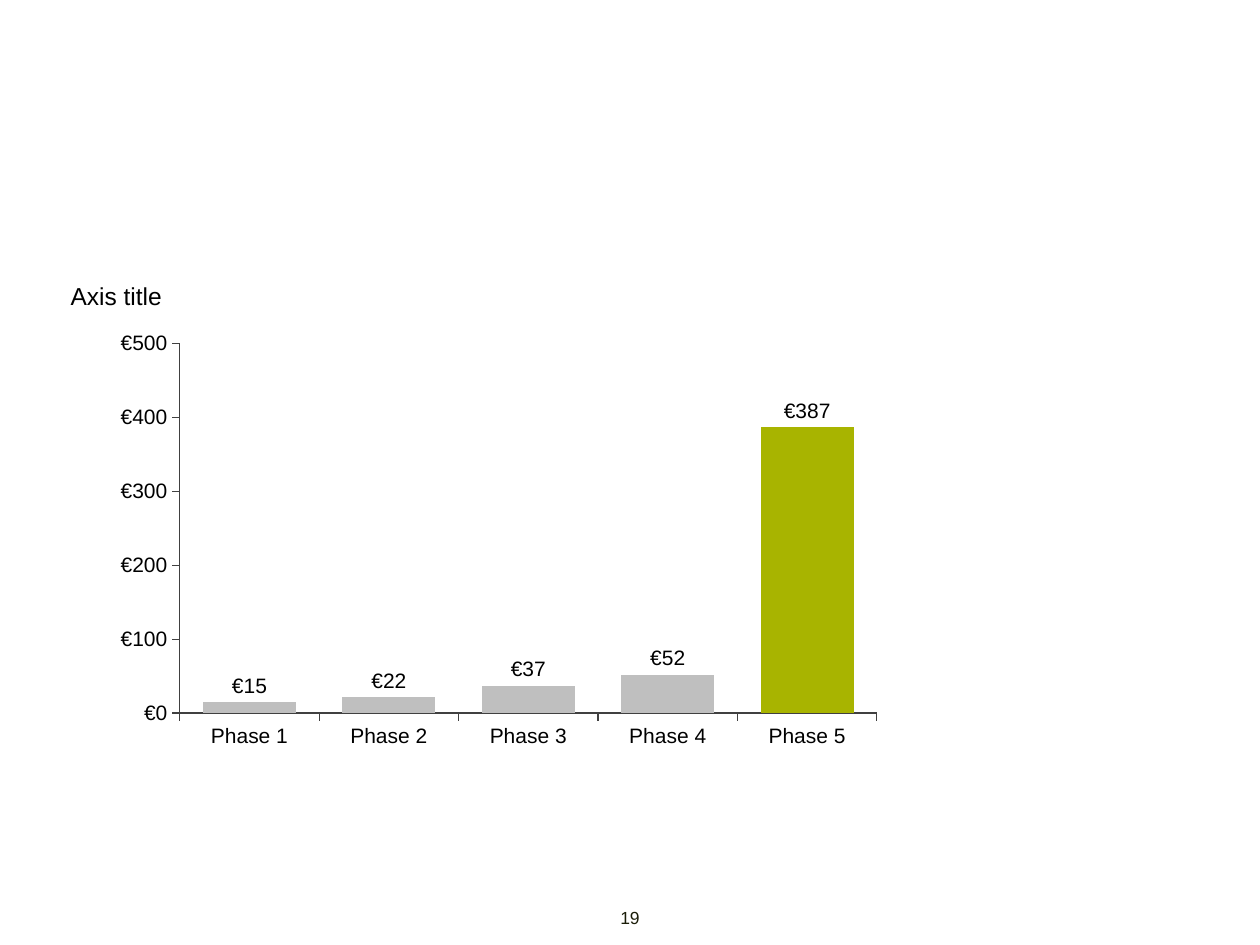
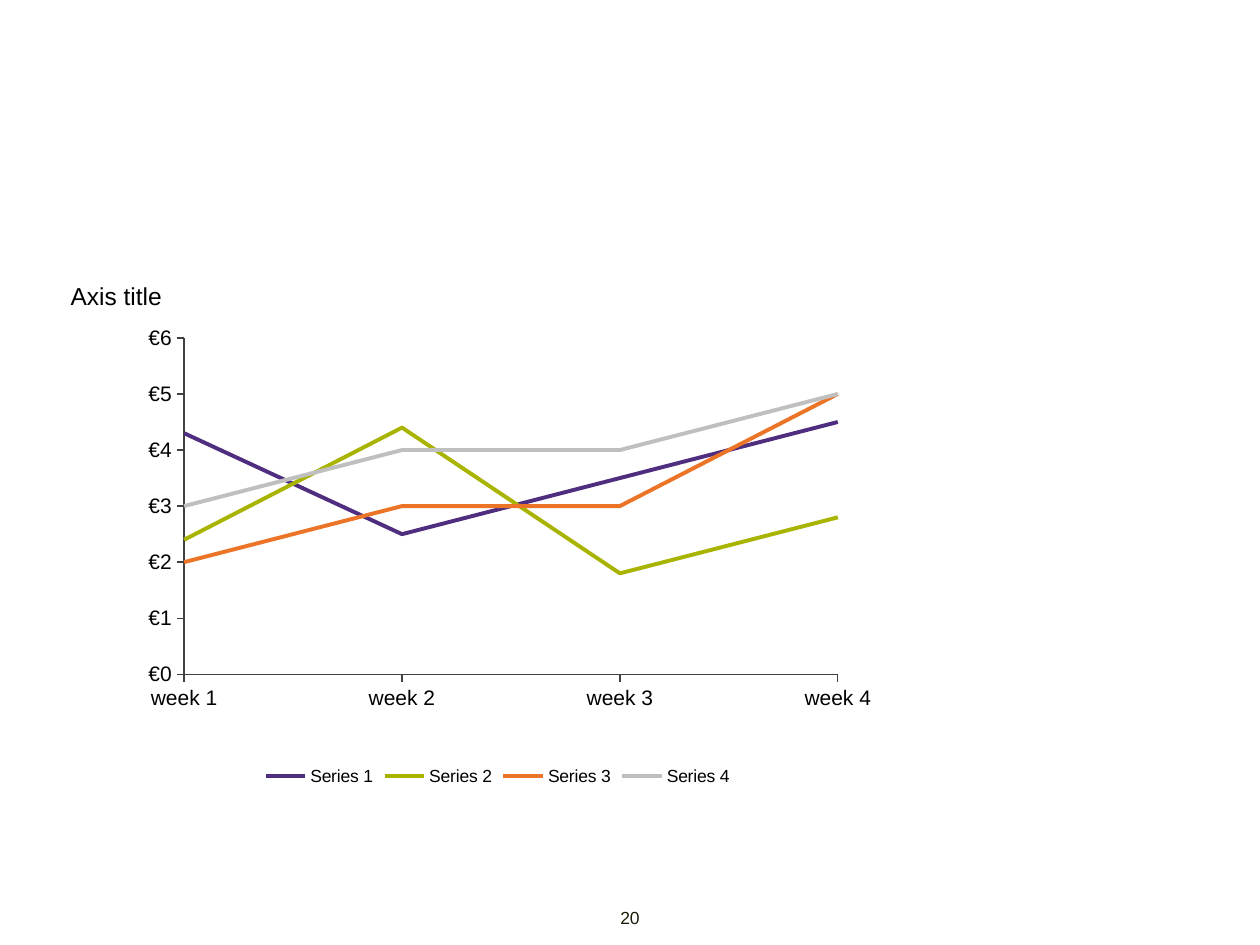
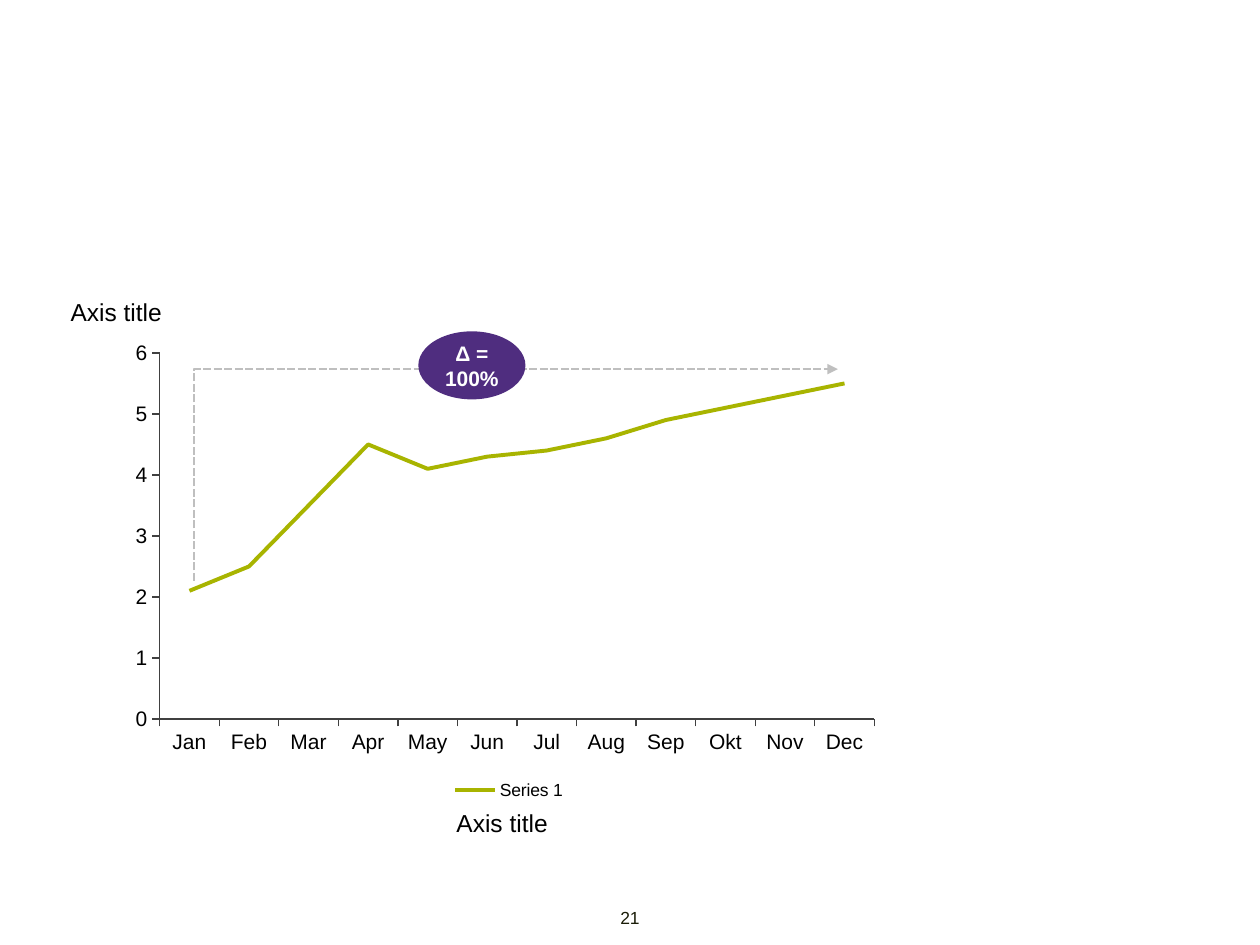
from dataclasses import dataclass

from lxml import etree
from pptx import Presentation
from pptx.chart.data import CategoryChartData
from pptx.dml.color import RGBColor
from pptx.enum.chart import XL_CHART_TYPE, XL_LABEL_POSITION, XL_LEGEND_POSITION, XL_TICK_MARK
from pptx.enum.dml import MSO_LINE
from pptx.enum.shapes import MSO_SHAPE
from pptx.enum.text import MSO_ANCHOR, MSO_AUTO_SIZE, PP_ALIGN
from pptx.oxml.ns import qn
from pptx.util import Inches, Pt

COLUMNS, LINES = XL_CHART_TYPE.COLUMN_CLUSTERED, XL_CHART_TYPE.LINE
TICK_OUT, TICK_NONE = XL_TICK_MARK.OUTSIDE, XL_TICK_MARK.NONE
LEFT, CENTER = PP_ALIGN.LEFT, PP_ALIGN.CENTER
TOP, MIDDLE, BOTTOM = MSO_ANCHOR.TOP, MSO_ANCHOR.MIDDLE, MSO_ANCHOR.BOTTOM

# Shared style
FONT = "Arial"
BLACK, WHITE, PAGE_INK, AXIS_GRAY = "000000", "FFFFFF", "1B1D08", "404040"
PURPLE, GREEN, ORANGE, SILVER = "4F2D7F", "A8B400", "EB7426", "BFBFBF"
EURO = '"€"#,##0'
FIRST_PAGE = 19

Box = tuple[float, float, float, float]


@dataclass(frozen=True)
class Series:
    name: str
    values: tuple[float, ...]
    color: str


@dataclass(frozen=True)
class ChartSpec:
    kind: int
    box: Box
    plot: Box  # inner plot area, as fractions of the chart
    categories: tuple[str, ...]
    series: tuple[Series, ...]
    value_format: str = "General"
    major_unit: float | None = None
    starts_on_axis: bool = False


@dataclass(frozen=True)
class Page:
    axis_title_top: float
    chart: ChartSpec


def rgb(color: str) -> RGBColor:
    return RGBColor.from_string(color)


def inches(box: Box) -> list:
    return [Inches(length) for length in box]


def write(frame, text: str, *, size: float = 14, color: str = BLACK, bold: bool = False,
          align=LEFT, anchor=BOTTOM, grow: bool = True) -> None:
    """Fill a text frame with one formatted paragraph and no margins."""
    frame.margin_left = frame.margin_right = frame.margin_top = frame.margin_bottom = 0
    frame.word_wrap = True
    frame.vertical_anchor = anchor
    frame.auto_size = MSO_AUTO_SIZE.SHAPE_TO_FIT_TEXT if grow else MSO_AUTO_SIZE.NONE
    paragraph = frame.paragraphs[0]
    paragraph.alignment = align
    run = paragraph.add_run()
    run.text = text
    run.font.name, run.font.size, run.font.bold = FONT, Pt(size), bold
    run.font.color.rgb = rgb(color)


def add_label(slide, box: Box, text: str, **text_format) -> None:
    write(slide.shapes.add_textbox(*inches(box)).text_frame, text, **text_format)


def set_stroke(line, color: str, width: float) -> None:
    line.color.rgb = rgb(color)
    line.width = Pt(width)


def style_axis(axis) -> None:
    axis.has_major_gridlines = False
    axis.major_tick_mark, axis.minor_tick_mark = TICK_OUT, TICK_NONE
    set_stroke(axis.format.line, AXIS_GRAY, 0.75)


def place_plot(chart, plot: Box) -> None:
    """Fix the inner plot area, which python-pptx leaves automatic."""
    area = chart.plots[0]._element.getparent()
    for automatic in area.findall(qn("c:layout")):
        area.remove(automatic)
    layout = etree.Element(qn("c:layout"))
    manual = etree.SubElement(layout, qn("c:manualLayout"))
    settings = [("layoutTarget", "inner"), ("xMode", "edge"), ("yMode", "edge"),
                *zip("xywh", plot)]
    for tag, value in settings:
        etree.SubElement(manual, qn(f"c:{tag}")).set("val", str(value))
    area.insert(0, layout)


def set_crossing(value_axis, on_tick: bool) -> None:
    """Start the categories on the value axis, or half a step from it."""
    element = value_axis._element
    for present in element.findall(qn("c:crossBetween")):
        element.remove(present)
    crossing = etree.Element(qn("c:crossBetween"))
    crossing.set("val", "midCat" if on_tick else "between")
    element.find(qn("c:crosses")).addnext(crossing)


def style_columns(plot) -> None:
    """Show values above the columns and highlight the last one."""
    plot.gap_width = 50
    columns = plot.series[0]
    last = columns.points[len(columns.values) - 1].format.fill
    last.solid()
    last.fore_color.rgb = rgb(GREEN)
    labels = columns.data_labels
    labels.show_value = True
    labels.number_format, labels.number_format_is_linked = EURO, False
    labels.position = XL_LABEL_POSITION.OUTSIDE_END


def add_legend(chart) -> None:
    chart.has_legend = True
    chart.legend.position = XL_LEGEND_POSITION.BOTTOM
    chart.legend.include_in_layout = False
    chart.legend.font.size = Pt(10)
    chart.legend.font.name = FONT
    chart.legend.font.color.rgb = rgb(BLACK)


def add_chart(slide, spec: ChartSpec) -> None:
    data = CategoryChartData()
    data.categories = spec.categories
    for entry in spec.series:
        data.add_series(entry.name, entry.values)
    chart = slide.shapes.add_chart(spec.kind, *inches(spec.box), data).chart
    chart.has_title = chart.has_legend = False
    chart.font.name, chart.font.size = FONT, Pt(12)
    chart.font.color.rgb = rgb(BLACK)
    place_plot(chart, spec.plot)

    # Axes
    style_axis(chart.category_axis)
    style_axis(chart.value_axis)
    set_crossing(chart.value_axis, spec.starts_on_axis)
    tick_labels = chart.value_axis.tick_labels
    tick_labels.number_format = spec.value_format
    tick_labels.number_format_is_linked = False
    if spec.major_unit:
        chart.value_axis.major_unit = spec.major_unit

    # Series
    plot = chart.plots[0]
    plot.vary_by_categories = False
    for drawn, entry in zip(plot.series, spec.series):
        if spec.kind == LINES:
            drawn.smooth = False
            set_stroke(drawn.format.line, entry.color, 2.25)
        else:
            drawn.format.fill.solid()
            drawn.format.fill.fore_color.rgb = rgb(entry.color)
    if spec.kind == LINES:
        add_legend(chart)
    else:
        style_columns(plot)


def add_growth_arrow(slide, points: list[tuple[float, float]]) -> None:
    start, *rest = [(Inches(x), Inches(y)) for x, y in points]
    builder = slide.shapes.build_freeform(*start)
    builder.add_line_segments(rest, close=False)
    arrow = builder.convert_to_shape()
    arrow.shadow.inherit = False
    arrow.fill.background()
    set_stroke(arrow.line, SILVER, 1.5)
    arrow.line.dash_style = MSO_LINE.SQUARE_DOT
    outline = arrow.line._get_or_add_ln()
    etree.SubElement(outline, qn("a:tailEnd")).set("type", "triangle")


def add_growth_badge(slide, box: Box, text: str) -> None:
    badge = slide.shapes.add_shape(MSO_SHAPE.OVAL, *inches(box))
    badge.shadow.inherit = False
    badge.fill.solid()
    badge.fill.fore_color.rgb = rgb(PURPLE)
    badge.line.fill.background()
    write(badge.text_frame, text, size=12, color=WHITE, bold=True,
          align=CENTER, anchor=MIDDLE, grow=False)


# Content
PHASES = ChartSpec(
    COLUMNS, (0.93, 2.64, 6.21, 3.47), (0.08, 0.021, 0.891, 0.849),
    tuple(f"Phase {number}" for number in range(1, 6)),
    (Series("Series 1", (15, 22, 37, 52, 387), SILVER),),
    value_format=EURO, major_unit=100)
WEEKS = ChartSpec(
    LINES, (0.93, 2.54, 6.04, 3.74), (0.088, 0.038, 0.859, 0.714),
    tuple(f"week {number}" for number in range(1, 5)),
    (Series("Series 1", (4.3, 2.5, 3.5, 4.5), PURPLE),
     Series("Series 2", (2.4, 4.4, 1.8, 2.8), GREEN),
     Series("Series 3", (2, 3, 3, 5), ORANGE),
     Series("Series 4", (3, 4, 4, 5), SILVER)),
    value_format=EURO, starts_on_axis=True)
MONTHS = ChartSpec(
    LINES, (1, 2.66, 6.08, 3.73), (0.044, 0.038, 0.933, 0.779),
    ("Jan", "Feb", "Mar", "Apr", "May", "Jun", "Jul", "Aug", "Sep", "Okt", "Nov", "Dec"),
    (Series("Series 1", (2.1, 2.5, 3.5, 4.5, 4.1, 4.3, 4.4, 4.6, 4.9, 5.1, 5.3, 5.5), GREEN),))
PAGES = (Page(2.22, PHASES), Page(2.22, WEEKS), Page(2.35, MONTHS))

deck = Presentation()
deck.slide_width, deck.slide_height = Inches(10), Inches(7.5)
blank = deck.slide_layouts[6]

# Every slide: page number, chart and value axis title
for number, page in enumerate(PAGES, FIRST_PAGE):
    slide = deck.slides.add_slide(blank)
    add_label(slide, (4.85, 7.2, 0.3, 0.17), str(number), size=10, color=PAGE_INK,
              align=CENTER, anchor=TOP)
    add_label(slide, (0.56, page.axis_title_top, 2.29, 0.24), "Axis title")
    add_chart(slide, page.chart)

# Last slide: growth over the year and category axis title
year = deck.slides[-1]
add_growth_arrow(year, [(1.54, 4.61), (1.54, 2.93), (6.65, 2.93)])
add_growth_badge(year, (3.32, 2.63, 0.85, 0.54), "Δ = 100%")
add_label(year, (1.54, 6.41, 4.89, 0.24), "Axis title", align=CENTER)

deck.save("out.pptx")
